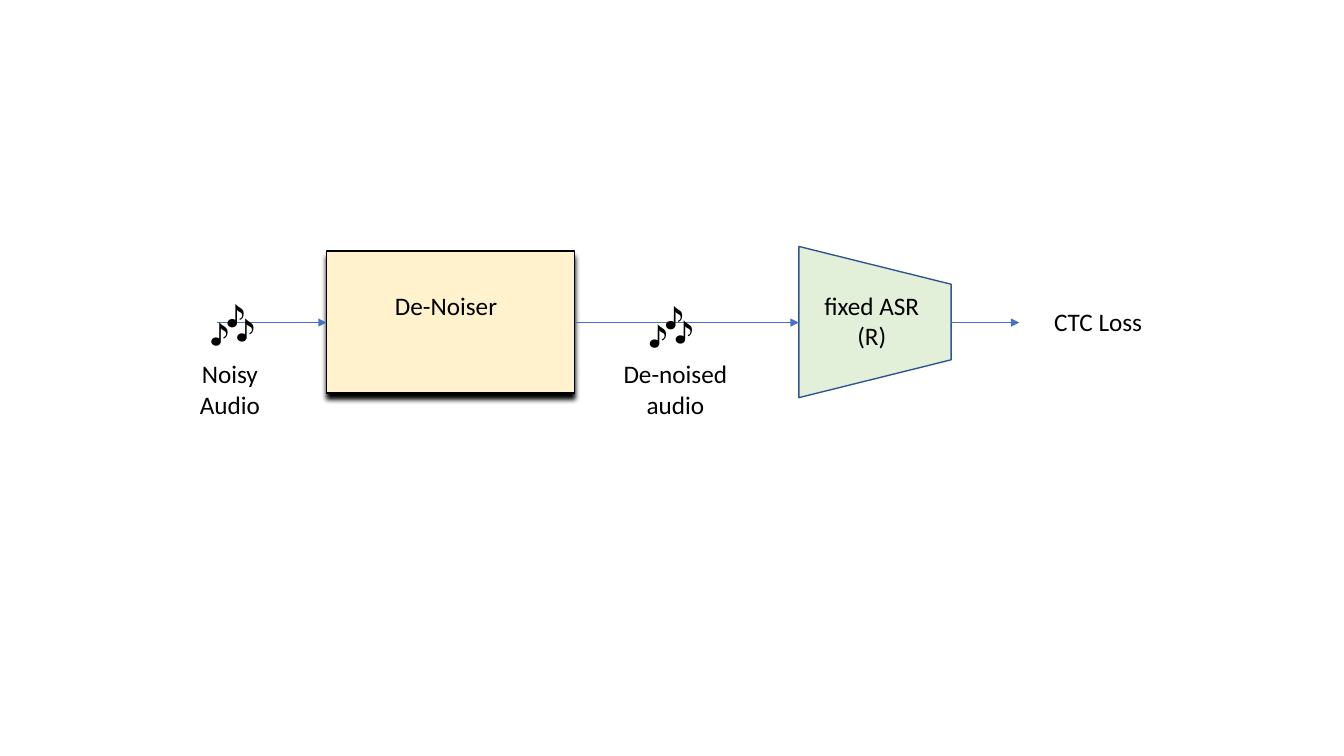
import pptx
import pptx.dml.color
import pptx.enum.shapes
import pptx.enum.text
import pptx.oxml
import pptx.oxml.ns
import pptx.util

Pt = pptx.util.Pt
SHAPES = pptx.enum.shapes.MSO_SHAPE


def color(hex_code):
    return pptx.dml.color.RGBColor.from_string(hex_code)


class Diagram:
    font = "Calibri"
    ink = "000000"
    arrow_color = "4472C4"

    def __init__(self, slide):
        self.shapes = slide.shapes

    def block(self, kind, left, top, width, height, fill, outline, rotation=0):
        block = self.shapes.add_shape(kind, Pt(left), Pt(top), Pt(width), Pt(height))
        block.rotation = rotation
        block.fill.solid()
        block.fill.fore_color.rgb = color(fill)
        block.line.color.rgb = color(outline)
        block.line.width = Pt(1)
        block.shadow.inherit = False
        return block

    def drop_shadow(self, block, blur, distance):
        effects = block._element.spPr.find(pptx.oxml.ns.qn("a:effectLst"))
        effects.append(pptx.oxml.parse_xml(
            f'<a:outerShdw {pptx.oxml.ns.nsdecls("a")} blurRad="{Pt(blur)}" '
            f'dist="{Pt(distance)}" dir="5400000" algn="t" rotWithShape="0">'
            f'<a:srgbClr val="{self.ink}"/></a:outerShdw>'))

    def arrow(self, start, end, y):
        arrow = self.shapes.add_connector(
            pptx.enum.shapes.MSO_CONNECTOR.STRAIGHT, Pt(start), Pt(y), Pt(end), Pt(y))
        arrow.line.color.rgb = color(self.arrow_color)
        arrow.line.width = Pt(0.5)
        head = pptx.oxml.ns.qn("a:tailEnd")
        arrow.line._get_or_add_ln().makeelement(head)
        arrow.line._get_or_add_ln().append(pptx.oxml.parse_xml(
            f'<a:tailEnd {pptx.oxml.ns.nsdecls("a")} type="triangle"/>'))
        arrow._element.spPr.append(pptx.oxml.parse_xml(
            f'<a:effectLst {pptx.oxml.ns.nsdecls("a")}/>'))

    def label(self, text, left, top, width, height, size=18, wrap=True):
        frame = self.shapes.add_textbox(Pt(left), Pt(top), Pt(width), Pt(height)).text_frame
        frame.word_wrap = wrap
        frame.auto_size = pptx.enum.text.MSO_AUTO_SIZE.SHAPE_TO_FIT_TEXT
        frame.text = text
        for paragraph in frame.paragraphs:
            if wrap:
                paragraph.alignment = pptx.enum.text.PP_ALIGN.CENTER
            paragraph.font.name = self.font
            paragraph.font.size = Pt(size)
            paragraph.font.color.rgb = color(self.ink)


presentation = pptx.Presentation()
presentation.slide_width = Pt(960)
presentation.slide_height = Pt(540)
diagram = Diagram(presentation.slides.add_slide(presentation.slide_layouts[6]))

# Processing stages
denoiser = diagram.block(SHAPES.RECTANGLE, 233.3, 179.3, 177.1, 101.5, "FFF2CC", "000000")
diagram.drop_shadow(denoiser, blur=4, distance=4)
diagram.block(SHAPES.TRAPEZOID, 571, 175.7, 108, 108.7, "E2F0D9", "325491", rotation=90)

# Signal flow along one axis
for start, end in ((154.8, 233.3), (410.4, 570.6), (679, 728)):
    diagram.arrow(start, end, y=230.4)

# Stage names and result
diagram.label("De-Noiser", 270.7, 203.8, 95.8, 29)
diagram.label("fixed ASR\n(R)", 570.2, 203.8, 105.1, 51)
diagram.label("CTC Loss", 735.1, 215.3, 98.6, 29)

# Audio signals: notes with a caption below
for notes_left, notes_top, caption, caption_left, caption_width in (
        (142.6, 206.6, "Noisy\nAudio", 121, 86.4),
        (455.8, 207.4, "De-noised audio", 436.3, 92.2)):
    diagram.label("\U0001F3B6", notes_left, notes_top, 46.8, 46, size=32, wrap=False)
    diagram.label(caption, caption_left, 252.7, caption_width, 51)

presentation.save("out.pptx")
